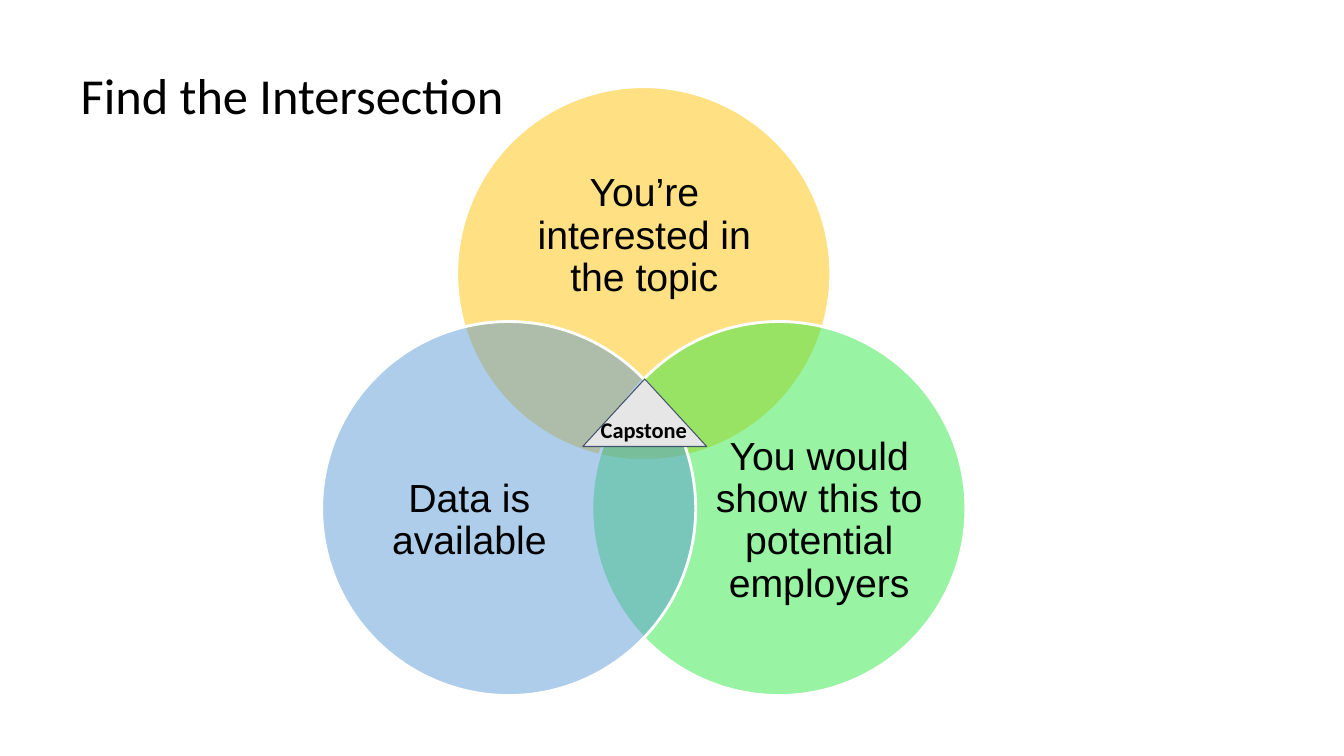
from dataclasses import dataclass

from lxml.etree import SubElement
from pptx import Presentation
from pptx.dml.color import RGBColor
from pptx.enum.shapes import MSO_SHAPE
from pptx.enum.text import MSO_ANCHOR, MSO_AUTO_SIZE, PP_ALIGN
from pptx.oxml.ns import qn
from pptx.shapes.autoshape import Shape
from pptx.slide import Slide
from pptx.util import Inches, Pt

COLORS = {
    "interest": "FFC000",
    "employers": "2EE844",
    "data": "5999D5",
    "outline": "FFFFFF",
    "capstone": "E7E6E6",
    "capstone_edge": "44546A",
    "text": "000000",
}
DIAMETER = 3.71
OPACITY = 49

Box = tuple[float, float, float, float]


@dataclass(frozen=True)
class Criterion:
    wording: str
    color: str
    left: float
    top: float
    label: Box


CRITERIA = [
    Criterion("You’re interested in the topic", "interest", 4.53, 0.86,
              (5.03, 1.51, 2.72, 1.67)),
    Criterion("You would show this to potential employers", "employers", 5.87, 3.19,
              (7.01, 4.15, 2.23, 2.04)),
    Criterion("Data is available", "data", 3.19, 3.19,
              (3.54, 4.15, 2.23, 2.04)),
]


def rgb(name: str) -> RGBColor:
    return RGBColor.from_string(COLORS[name])


def set_text(holder: Shape, wording: str, font: dict, paragraph_format: dict,
             frame_format: dict, insets: tuple[float, float]) -> None:
    """Write one paragraph; insets are horizontal and vertical inches."""
    frame = holder.text_frame
    frame.text = wording
    paragraph = frame.paragraphs[0]
    margins = dict(zip(("margin_left", "margin_top", "margin_right", "margin_bottom"),
                       map(Inches, insets * 2)))
    formats = [
        (frame, {"word_wrap": True, **margins, **frame_format}),
        (paragraph, paragraph_format),
        (paragraph.runs[0].font, font),
    ]
    for target, values in formats:
        for attribute, value in values.items():
            setattr(target, attribute, value)
    paragraph.runs[0].font.color.rgb = rgb("text")


def add_figure(slide: Slide, kind: MSO_SHAPE, box: Box, fill: str,
               edge: str, edge_width: float) -> Shape:
    figure = slide.shapes.add_shape(kind, *map(Inches, box))
    figure.shadow.inherit = False
    figure.fill.solid()
    figure.fill.fore_color.rgb = rgb(fill)
    figure.line.color.rgb = rgb(edge)
    figure.line.width = Pt(edge_width)
    return figure


def add_criterion(slide: Slide, criterion: Criterion) -> None:
    circle = add_figure(slide, MSO_SHAPE.OVAL,
                        (criterion.left, criterion.top, DIAMETER, DIAMETER),
                        criterion.color, "outline", 2)
    fill_color = circle.fill._xPr.find(qn("a:solidFill"))[0]
    SubElement(fill_color, qn("a:alpha"), val=str(OPACITY * 1000))

    label = slide.shapes.add_textbox(*map(Inches, criterion.label))
    set_text(label, criterion.wording, {"name": "Arial", "size": Pt(28)},
             {"alignment": PP_ALIGN.CENTER, "line_spacing": 0.9},
             {"vertical_anchor": MSO_ANCHOR.MIDDLE}, (0, 0))


def main() -> None:
    deck = Presentation()
    deck.slide_width, deck.slide_height = Inches(13.33), Inches(7.5)
    slide = deck.slides.add_slide(deck.slide_layouts[5])

    # Title
    title = slide.shapes.title
    for side, length in zip(("left", "top", "width", "height"), (0.7, 0.35, 11.93, 1.24)):
        setattr(title, side, Inches(length))
    set_text(title, "Find the Intersection", {"name": "Calibri", "size": Pt(36)},
             {"alignment": PP_ALIGN.LEFT, "line_spacing": 0.9},
             {"vertical_anchor": MSO_ANCHOR.MIDDLE, "auto_size": MSO_AUTO_SIZE.NONE},
             (0.1, 0.05))

    # Overlapping circles
    for criterion in CRITERIA:
        add_criterion(slide, criterion)

    # Capstone where all three meet
    add_figure(slide, MSO_SHAPE.ISOSCELES_TRIANGLE, (5.78, 3.76, 1.23, 0.67),
               "capstone", "capstone_edge", 0.75)
    capstone = slide.shapes.add_textbox(*map(Inches, (5.86, 4.03, 1.23, 0.47)))
    set_text(capstone, "Capstone", {"name": "Calibri", "size": Pt(16), "bold": True},
             {"alignment": PP_ALIGN.LEFT},
             {"auto_size": MSO_AUTO_SIZE.SHAPE_TO_FIT_TEXT}, (0.1, 0.1))

    deck.save("out.pptx")


if __name__ == "__main__":
    main()
